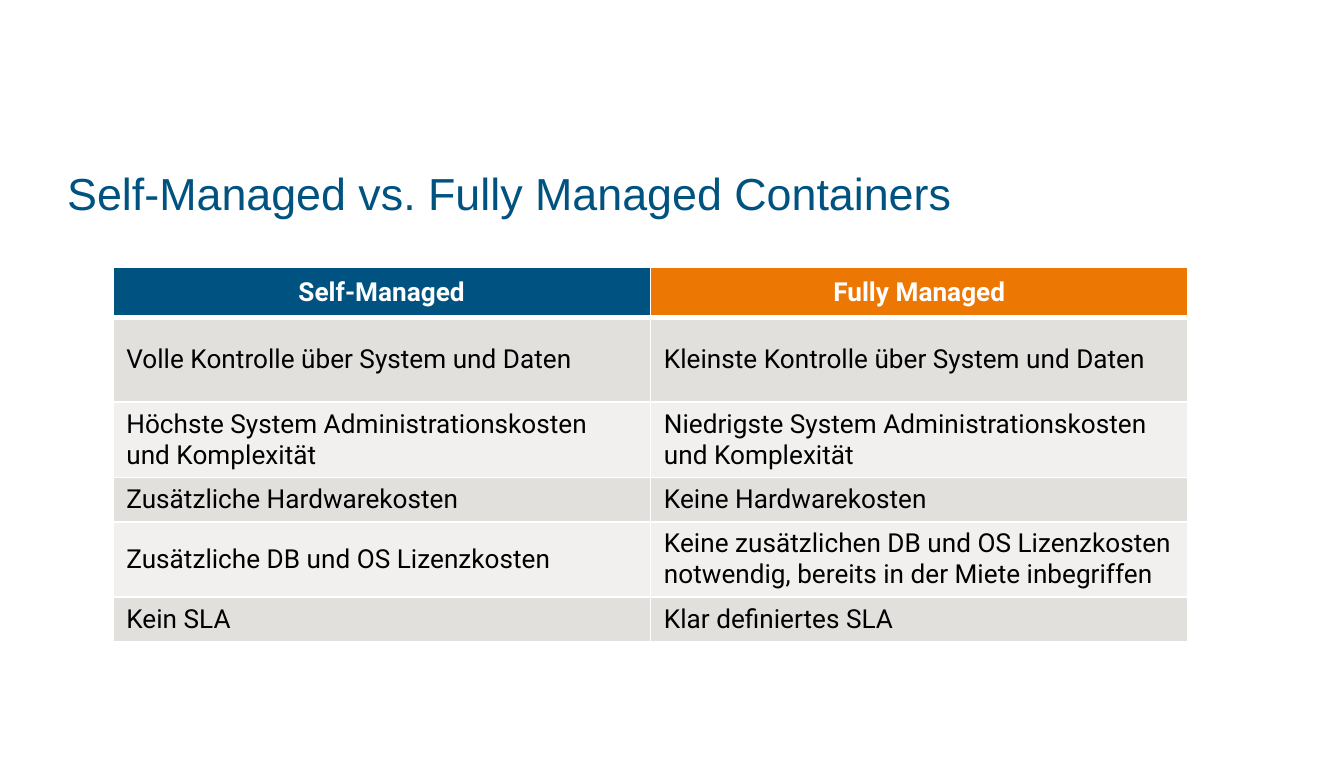
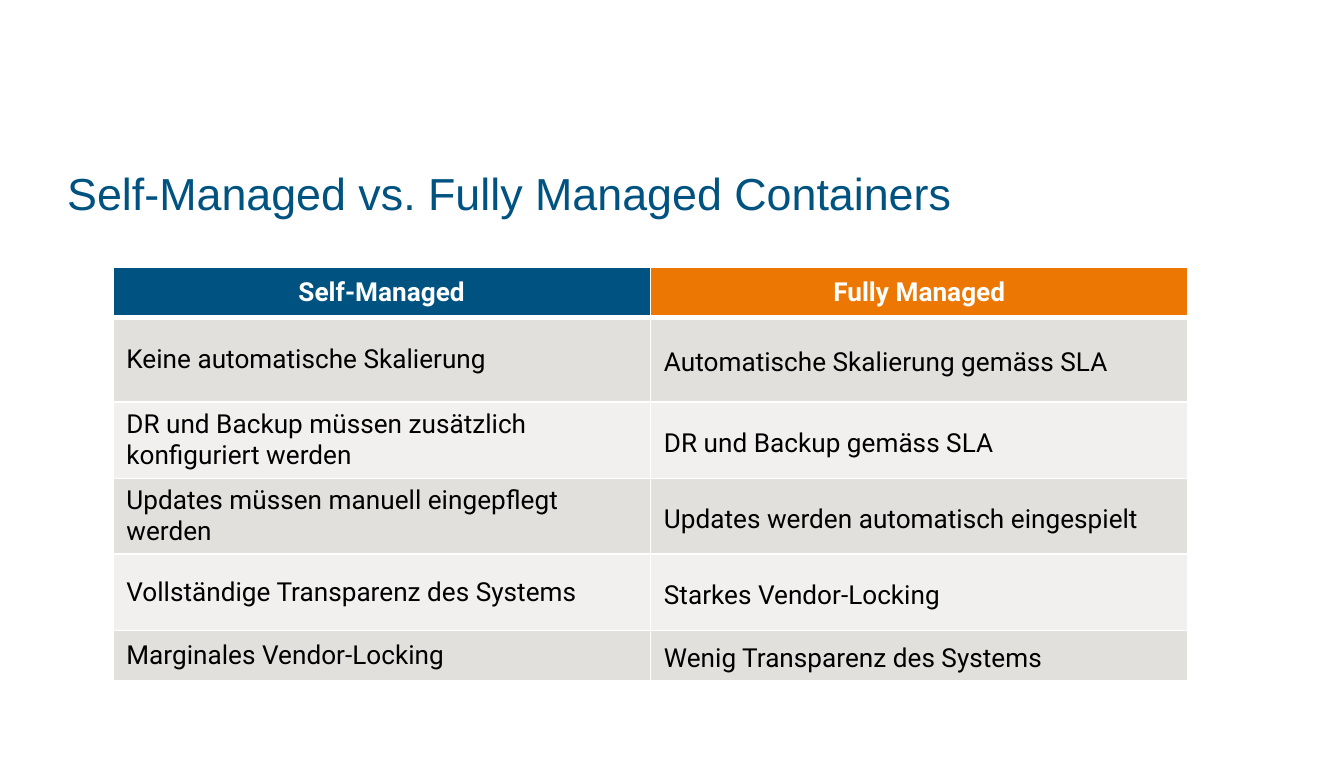
from pptx import Presentation
from pptx.dml.color import RGBColor
from pptx.enum.text import MSO_ANCHOR as Anchor, MSO_AUTO_SIZE as AutoSize, PP_ALIGN as Align
from pptx.oxml import parse_xml
from pptx.oxml.ns import nsdecls
from pptx.util import Emu, Pt

EMU_PER_PX = 9144
BLUE, ORANGE = "005380", "ED7703"
WHITE, BLACK = "FFFFFF", "000000"
BANDS = ("E2E0DD", "F1F0EF")
THIN, THICK = 0.96, 3

TITLE = "Self-Managed vs. Fully Managed Containers"
HEADERS = (("Self-Managed", BLUE), ("Fully Managed", ORANGE))
CONTROL_AND_COSTS = (
    ("Volle Kontrolle über System und Daten", "Kleinste Kontrolle über System und Daten"),
    ("Höchste System Administrationskosten und Komplexität",
     "Niedrigste System Administrationskosten und Komplexität"),
    ("Zusätzliche Hardwarekosten", "Keine Hardwarekosten"),
    ("Zusätzliche DB und OS Lizenzkosten",
     "Keine zusätzlichen DB und OS Lizenzkosten notwendig, bereits in der Miete inbegriffen"),
    ("Kein SLA", "Klar definiertes SLA"),
)
OPERATIONS = (
    ("Keine automatische Skalierung", "Automatische Skalierung gemäss SLA"),
    ("DR und Backup müssen zusätzlich konfiguriert werden", "DR und Backup gemäss SLA"),
    ("Updates müssen manuell eingepflegt werden", "Updates werden automatisch eingespielt"),
    ("Vollständige Transparenz des Systems", "Starkes Vendor-Locking"),
    ("Marginales Vendor-Locking", "Wenig Transparenz des Systems"),
)


def px(length):
    """Turn whole px into EMU."""
    return Emu(length * EMU_PER_PX)


def color(hex_string):
    """Turn a hex string into a colour."""
    return RGBColor.from_string(hex_string)


def add_run(paragraph, text, font, size, hex_string, bold=False):
    """Add one formatted run to a paragraph."""
    run = paragraph.add_run()
    run.text = text
    run.font.name = font
    run.font.size = Pt(size)
    run.font.bold = bold
    run.font.color.rgb = color(hex_string)


def set_title(slide, text):
    """Place and format the title placeholder."""
    title = slide.shapes.title
    title.left, title.top, title.width, title.height = map(px, (50, 122, 900, 43))
    frame = title.text_frame
    frame.margin_left = frame.margin_top = frame.margin_right = frame.margin_bottom = 0
    frame.word_wrap = True
    frame.auto_size = AutoSize.NONE
    frame.vertical_anchor = Anchor.MIDDLE
    paragraph = frame.paragraphs[0]
    paragraph.alignment = Align.LEFT
    add_run(paragraph, text, "Arial", 24, BLUE)


def set_borders(cell, top, bottom):
    """Draw white borders around a cell, with given top and bottom widths."""
    properties = cell._tc.get_or_add_tcPr()
    for side, width in (("L", THIN), ("R", THIN), ("T", top), ("B", bottom)):
        properties.append(parse_xml(
            f'<a:ln{side} {nsdecls("a")} w="{Pt(width)}"><a:solidFill>'
            f'<a:srgbClr val="{WHITE}"/></a:solidFill></a:ln{side}>'))


def fill_cell(cell, text, fill, row, line_spacing=None):
    """Format one cell as a header or a body cell, depending on its row."""
    is_header = row == 0
    set_borders(cell, THICK if row == 1 else THIN, THICK if is_header else THIN)
    cell.fill.solid()
    cell.fill.fore_color.rgb = color(fill)
    cell.vertical_anchor = Anchor.MIDDLE
    paragraph = cell.text_frame.paragraphs[0]
    paragraph.alignment = Align.CENTER if is_header else Align.LEFT
    paragraph.line_spacing = line_spacing
    add_run(paragraph, text, "Roboto", 14, WHITE if is_header else BLACK, is_header)


def add_comparison(slide, rows, heights, right_spacing):
    """Add the two-column comparison table."""
    frame = slide.shapes.add_table(
        len(rows) + 1, len(HEADERS), px(84), px(199), px(800), px(sum(heights)))
    table = frame.table
    for table_row, height in zip(table.rows, heights):
        table_row.height = px(height)
    for column, (header, fill) in enumerate(HEADERS):
        fill_cell(table.cell(0, column), header, fill, 0)
    for row, texts in enumerate(rows, start=1):
        band = BANDS[(row - 1) % len(BANDS)]
        for column, (text, spacing) in enumerate(zip(texts, (None, right_spacing))):
            fill_cell(table.cell(row, column), text, band, row, spacing)


def main():
    """Build and save the presentation."""
    presentation = Presentation()
    presentation.slide_width, presentation.slide_height = px(1000), px(563)
    title_only = presentation.slide_layouts[5]
    for rows, tall, right_spacing in ((CONTROL_AND_COSTS, 55, None), (OPERATIONS, 57, 1.2)):
        slide = presentation.slides.add_slide(title_only)
        set_title(slide, TITLE)
        add_comparison(slide, rows, (37, 63, tall, 33, tall, 33), right_spacing)
    presentation.save("out.pptx")


if __name__ == "__main__":
    main()
